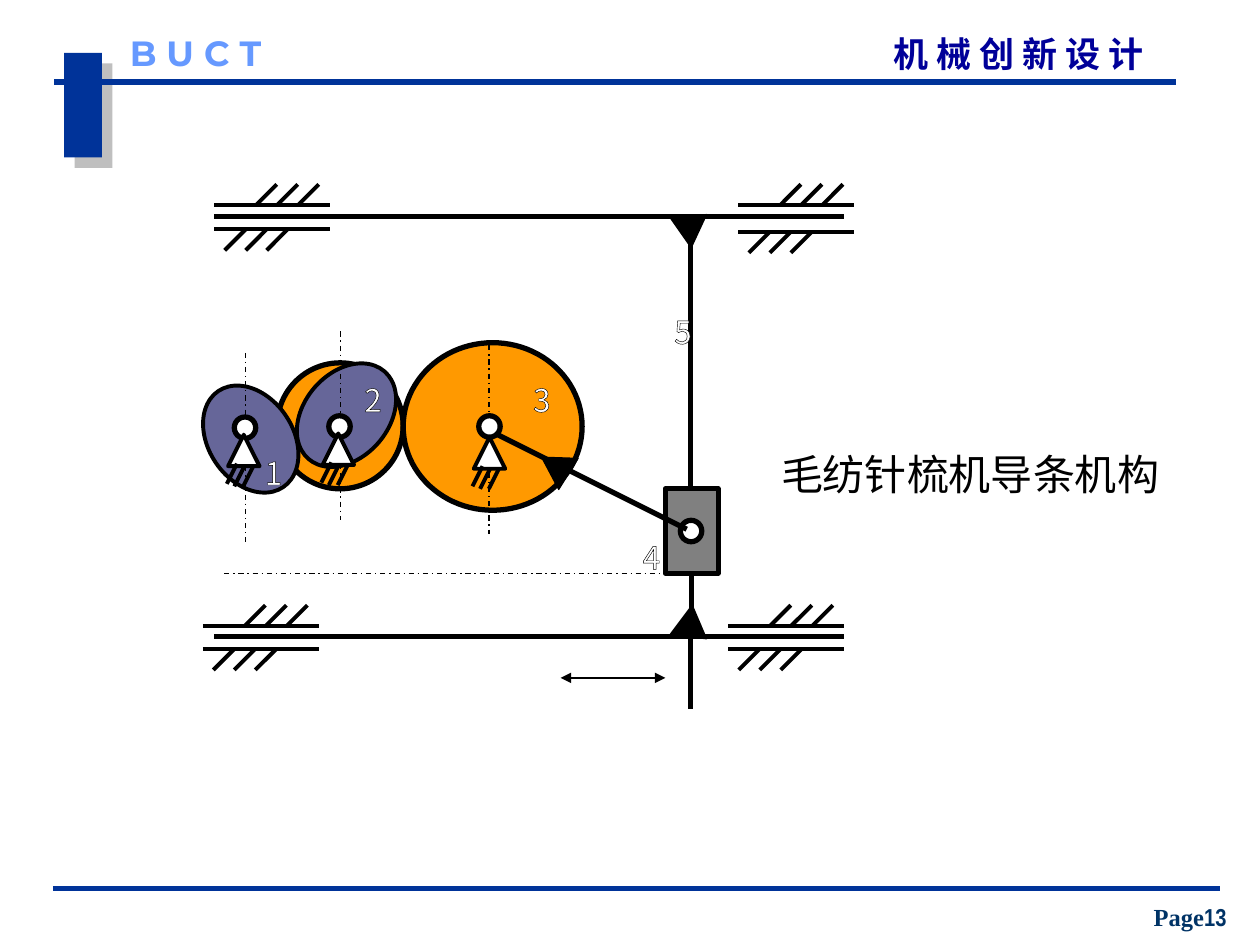
from lxml import etree
from pptx import Presentation
from pptx.dml.color import RGBColor
from pptx.enum.dml import MSO_LINE
from pptx.enum.shapes import MSO_CONNECTOR, MSO_SHAPE
from pptx.enum.text import MSO_ANCHOR, PP_ALIGN
from pptx.oxml.ns import qn
from pptx.util import Inches, Pt

STRAIGHT = MSO_CONNECTOR.STRAIGHT
RECTANGLE = MSO_SHAPE.RECTANGLE
ELLIPSE = MSO_SHAPE.OVAL
TRIANGLE = MSO_SHAPE.ISOSCELES_TRIANGLE
DASH_DOT = MSO_LINE.DASH_DOT
TOP, BOTTOM = MSO_ANCHOR.TOP, MSO_ANCHOR.BOTTOM
LEFT, CENTER = PP_ALIGN.LEFT, PP_ALIGN.CENTER

COLORS = {
    "black": "000000", "white": "FFFFFF", "rule": "003399",
    "shadow": "808080", "header": "000099", "school": "6699FF",
    "page": "003366", "wheel": "FF9900", "gear": "666699", "slider": "808080",
}
CHINESE_FONT = "Noto Sans CJK SC"
BODY_FONT = "Times New Roman"
THIN, MEDIUM, THICK = 0.75, 2.25, 3


def rgb(name):
    return RGBColor.from_string(COLORS[name])


def add_element(parent, tag, **attributes):
    return etree.SubElement(parent, qn(tag), attributes)


class SlideBuilder:
    def __init__(self, slide):
        self.slide = slide
        self.shapes = slide.shapes

    def start_group(self):
        self.shapes = self.slide.shapes.add_group_shape().shapes

    def end_group(self):
        self.shapes = self.slide.shapes

    def shape(self, kind, left, top, width, height, fill, line=None, rotation=0):
        shape = self.shapes.add_shape(
            kind, Inches(left), Inches(top), Inches(width), Inches(height))
        shape.shadow.inherit = False
        shape.rotation = rotation
        shape.fill.solid()
        shape.fill.fore_color.rgb = rgb(fill)
        if line:
            shape.line.color.rgb = rgb("black")
            shape.line.width = Pt(line)
        else:
            shape.line.fill.background()
        return shape

    def cast_shadow(self, shape, distance, degrees):
        effects = shape._element.spPr.find(qn("a:effectLst"))
        shadow = add_element(effects, "a:outerShdw", blurRad="0",
                             dist=str(Pt(distance)), dir=str(degrees * 60000),
                             algn="ctr", rotWithShape="0")
        color = add_element(shadow, "a:srgbClr", val=COLORS["shadow"])
        add_element(color, "a:alpha", val="50000")

    def line(self, x1, y1, x2, y2, width, color="black", dash=None, arrows=False):
        connector = self.shapes.add_connector(
            STRAIGHT, Inches(x1), Inches(y1), Inches(x2), Inches(y2))
        connector.line.color.rgb = rgb(color)
        connector.line.width = Pt(width)
        if dash:
            connector.line.dash_style = dash
        if arrows:
            for end in ("a:headEnd", "a:tailEnd"):
                add_element(connector.line._ln, end, type="triangle")
        add_element(connector._element.spPr, "a:effectLst")

    def text(self, left, top, width, height, runs, size, color, bold=False,
             inset=True, wrap=True, anchor=TOP, align=LEFT, outline=None):
        """Add a text box; runs is a list of (text, font name) pairs."""
        box = self.shapes.add_textbox(
            Inches(left), Inches(top), Inches(width), Inches(height))
        frame = box.text_frame
        frame.word_wrap = wrap
        frame.vertical_anchor = anchor
        if not inset:
            frame.margin_left = frame.margin_right = 0
            frame.margin_top = frame.margin_bottom = 0
        paragraph = frame.paragraphs[0]
        paragraph.alignment = align
        for content, font_name in runs:
            run = paragraph.add_run()
            run.text = content
            run.font.name = font_name
            run.font.size = Pt(size)
            run.font.bold = bold
            run.font.color.rgb = rgb(color)
            properties = run._r.get_or_add_rPr()
            add_element(properties, "a:ea", typeface=CHINESE_FONT)
            if outline:
                border = etree.Element(qn("a:ln"), w=str(Pt(outline)))
                fill = add_element(border, "a:solidFill")
                add_element(fill, "a:srgbClr", val=COLORS["black"])
                properties.insert(0, border)

    def pin(self, left, top):
        self.shape(ELLIPSE, left, top, 0.17, 0.17, "white", THICK)

    def support(self, left, top):
        """Add a fixed bearing: a triangle on three ground strokes."""
        self.shape(TRIANGLE, left, top, 0.25, 0.25, "white", MEDIUM)
        for dx, dy in ((0.2, 0.25), (0.07, 0.23), (0.13, 0.25)):
            x, y = left + dx, top + dy
            self.line(x, y, x - 0.08, y + 0.16, MEDIUM)

    def guide(self, left, y, direction):
        """Add a hatched rail; direction is -1 for hatches above, 1 for below."""
        self.line(left, y, left + 0.92, y, MEDIUM)
        first = left + (0.25 if direction > 0 else 0.33)
        for index in range(3):
            x = first + index / 6
            self.line(x, y, x - direction / 6, y + direction / 6, MEDIUM)

    def joint(self, left, top, rotation):
        self.shape(TRIANGLE, left, top, 0.29, 0.25, "black", THIN, rotation)


def add_page_frame(builder):
    tab = builder.shape(RECTANGLE, 0.51, 0.42, 0.3, 0.83, "rule")
    builder.cast_shadow(tab, 8.5, 45)
    builder.line(0.43, 0.65, 9.33, 0.65, THICK, "rule")
    builder.text(7.09, 0.26, 2.45, 0.33, [("机 械 创 新 设 计", CHINESE_FONT)],
                 20, "header", bold=True, inset=False)
    builder.line(0.42, 7.05, 9.68, 7.05, THICK, "rule")
    builder.text(1.03, 0.25, 1.42, 0.33, [("B U C T", "Montserrat")],
                 20, "school", bold=True, inset=False)
    builder.text(8.97, 7.11, 0.95, 0.33,
                 [("Page", BODY_FONT), ("13", "Arial Narrow")],
                 14, "page", bold=True, anchor=BOTTOM, align=CENTER)


def add_gears(builder):
    builder.line(1.78, 4.55, 5.45, 4.55, THIN, dash=DASH_DOT)
    builder.shape(ELLIPSE, 2.2, 2.88, 1, 1, "wheel", THICK)
    builder.shape(ELLIPSE, 2.29, 2.96, 0.92, 0.67, "gear", MEDIUM, 311)
    builder.shape(ELLIPSE, 1.53, 3.15, 0.92, 0.67, "gear", MEDIUM, 236)
    builder.shape(ELLIPSE, 3.2, 2.72, 1.42, 1.33, "wheel", THICK)
    for x, top in ((2.7, 2.63), (1.95, 2.8), (3.88, 2.74)):
        builder.line(x, top, x, top + 1.5, THIN, dash=DASH_DOT)
    builder.shape(RECTANGLE, 5.28, 3.88, 0.42, 0.67, "slider", THICK)
    for left, top in ((1.86, 3.31), (2.61, 3.3), (3.8, 3.3), (5.4, 4.13)):
        builder.pin(left, top)
    for left, top in ((3.76, 3.47), (2.56, 3.44), (1.81, 3.45)):
        builder.support(left, top)


def add_rods(builder):
    builder.line(3.95, 3.45, 5.45, 4.2, THICK)
    builder.joint(4.26, 3.57, 302)
    builder.line(5.49, 4.55, 5.49, 5.05, THICK)
    builder.line(5.48, 3.88, 5.48, 1.72, THICK)
    for y in (1.72, 5.05):
        builder.line(1.7, y, 6.7, y, THICK)
    builder.joint(5.36, 1.65, 55)
    builder.joint(5.29, 4.86, 247)
    builder.line(5.48, 5.05, 5.48, 5.63, THICK)
    for left, upper, lower in ((5.86, 1.63, 1.84), (1.7, 1.63, 1.82),
                               (5.78, 4.97, 5.15), (1.61, 4.97, 5.15)):
        builder.guide(left, lower, 1)
        builder.guide(left, upper, -1)


def add_part_numbers(builder):
    places = ((2.07, 3.55), (2.86, 2.97), (4.2, 2.97), (5.07, 4.22), (5.32, 2.43))
    for number, (left, top) in enumerate(places, start=1):
        builder.text(left, top, 0.13, 0.25, [(str(number), CHINESE_FONT)],
                     18, "white", wrap=False, outline=THIN)


def main():
    presentation = Presentation()
    presentation.slide_width = Inches(10)
    presentation.slide_height = Inches(7.5)
    blank_layout = presentation.slide_layouts[6]
    builder = SlideBuilder(presentation.slides.add_slide(blank_layout))

    add_page_frame(builder)
    builder.start_group()
    add_gears(builder)
    add_rods(builder)
    add_part_numbers(builder)
    builder.line(4.45, 5.38, 5.28, 5.38, THIN, arrows=True)
    builder.end_group()
    builder.text(6.1, 3.51, 3.58, 0.5, [("毛纺针梳机导条机构", BODY_FONT)],
                 24, "black")
    presentation.save("out.pptx")


if __name__ == "__main__":
    main()
